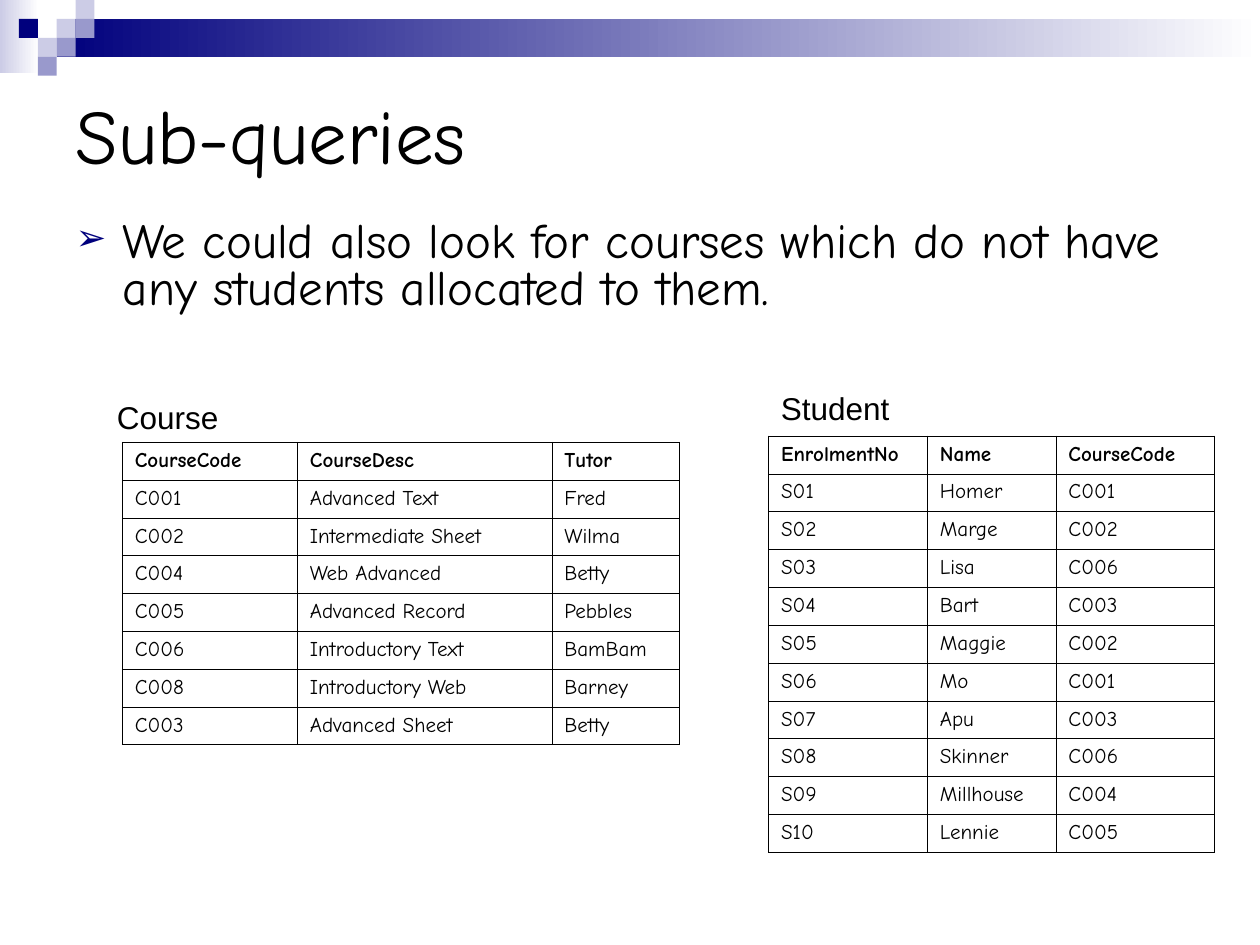
import dataclasses

import pptx
import pptx.dml.color
import pptx.enum.shapes
import pptx.enum.text
import pptx.oxml
import pptx.oxml.ns
import pptx.util

COLORS = {
    "ink": "000000",
    "paper": "FFFFFF",
    "navy": "00007D",
    "violet": "9999CC",
    "lilac": "CCCCE6",
}
HAND = "Comic Neue"
PLAIN = "Arial"
CELL = 0.1
TILE = 1.5
ROW_HEIGHT = 3


@dataclasses.dataclass
class Area:
    left: float
    top: float
    width: float
    height: float

    def lengths(self) -> list:
        return [grid(value) for value in dataclasses.astuple(self)]


@dataclasses.dataclass
class Listing:
    label: str
    label_area: Area
    left: float
    top: float
    columns: list[float]
    rows: list[str]


FADES = [
    (Area(0, 0, 3.1, 5.8), "lilac"),
    (Area(4.5, 1.5, 95.5, 3), "navy"),
]
TILES = [
    (3, 1, "lilac"),
    (4, 0, "lilac"),
    (4, 1, "violet"),
    (2, 2, "lilac"),
    (1, 1, "navy"),
    (3, 2, "violet"),
    (2, 3, "violet"),
]
LISTINGS = [
    Listing("Course", Area(8.3, 31.1, 21.3, 4), 9.7, 35.1, [13.9, 20.2, 10.1], [
        "CourseCode|CourseDesc|Tutor",
        "C001|Advanced Text|Fred",
        "C002|Intermediate Sheet|Wilma",
        "C004|Web Advanced|Betty",
        "C005|Advanced Record|Pebbles",
        "C006|Introductory Text|BamBam",
        "C008|Introductory Web|Barney",
        "C003|Advanced Sheet|Betty",
    ]),
    Listing("Student", Area(61, 30.4, 21.3, 4), 61, 34.6, [12.6, 10.2, 12.6], [
        "EnrolmentNo|Name|CourseCode",
        "S01|Homer|C001",
        "S02|Marge|C002",
        "S03|Lisa|C006",
        "S04|Bart|C003",
        "S05|Maggie|C002",
        "S06|Mo|C001",
        "S07|Apu|C003",
        "S08|Skinner|C006",
        "S09|Millhouse|C004",
        "S10|Lennie|C005",
    ]),
]


def grid(count: float) -> pptx.util.Length:
    """Turn a number of grid cells into a length."""
    return pptx.util.Inches(count * CELL)


def color(name: str) -> pptx.dml.color.RGBColor:
    """Look up a colour by name."""
    return pptx.dml.color.RGBColor.from_string(COLORS[name])


def element(xml: str):
    """Parse one drawing element."""
    head, tail = xml.split(" ", 1)
    return pptx.oxml.parse_xml(f"{head} {pptx.oxml.ns.nsdecls('a')} {tail}")


def place(box, area: Area) -> None:
    """Move a box to an area of the grid."""
    box.left, box.top, box.width, box.height = area.lengths()


def write(frame, text: str, size: float, font: str, bold: bool = False):
    """Set one left-aligned paragraph and format its run."""
    frame.text = text
    frame.word_wrap = True
    para = frame.paragraphs[0]
    para.alignment = pptx.enum.text.PP_ALIGN.LEFT
    span = para.runs[0]
    span.font.size = pptx.util.Pt(size)
    span.font.name = font
    span.font.bold = bold
    span.font.color.rgb = color("ink")
    return para


def draw_block(page, area: Area, name: str, fades: bool = False) -> None:
    """Draw a solid or fading rectangle behind the title."""
    block = page.shapes.add_shape(
        pptx.enum.shapes.MSO_SHAPE.RECTANGLE, *area.lengths())
    block.shadow.inherit = False
    block.line.fill.background()
    if fades:
        block.fill.gradient()
        block.fill.gradient_angle = 0
        for stop, shade in zip(block.fill.gradient_stops, (name, "paper")):
            stop.color.rgb = color(shade)
    else:
        block.fill.solid()
        block.fill.fore_color.rgb = color(name)
    page.shapes.title.element.addprevious(block.element)


def draw_banner(page) -> None:
    """Draw the fading bars and the small tiles at the top."""
    for area, name in FADES:
        draw_block(page, area, name, fades=True)
    for column, row, name in TILES:
        draw_block(page, Area(column * TILE, row * TILE, TILE, TILE), name)


def fill_title(page, text: str) -> None:
    """Write the title."""
    title = page.shapes.title
    place(title, Area(5, 5, 90, 11.2))
    write(title.text_frame, text, 44, HAND)
    title.text_frame.vertical_anchor = pptx.enum.text.MSO_ANCHOR.MIDDLE
    title.text_frame.auto_size = pptx.enum.text.MSO_AUTO_SIZE.NONE


def fill_body(page, text: str) -> None:
    """Write the bulleted statement."""
    body = page.placeholders[1]
    place(body, Area(5, 17, 90, 8.7))
    para = write(body.text_frame, text, 28, HAND)
    body.text_frame.auto_size = pptx.enum.text.MSO_AUTO_SIZE.NONE
    para.line_spacing = 0.8
    para.space_before = pptx.util.Pt(0)
    properties = para._p.get_or_add_pPr()
    properties.set("marL", str(grid(3.75)))
    properties.set("indent", str(-grid(3.75)))
    for xml in (f'<a:buClr ><a:srgbClr val="{COLORS["navy"]}"/></a:buClr>',
                '<a:buSzPct val="75000"/>',
                f'<a:buFont typeface="{PLAIN}"/>',
                '<a:buChar char="➢"/>'):
        properties.append(element(xml))


def draw_cell(cell, text: str, header: bool) -> None:
    """Write, border and fill one table cell."""
    write(cell.text_frame, text, 12, HAND, bold=header)
    properties = cell._tc.get_or_add_tcPr()
    for side in ("lnL", "lnR", "lnT", "lnB"):
        properties.append(element(
            f'<a:{side} w="{pptx.util.Pt(0.34)}"><a:solidFill>'
            f'<a:srgbClr val="{COLORS["ink"]}"/></a:solidFill></a:{side}>'))
    if header:
        cell.vertical_anchor = pptx.enum.text.MSO_ANCHOR.MIDDLE
        cell.fill.background()
    else:
        cell.fill.solid()
        cell.fill.fore_color.rgb = color("paper")


def draw_listing(page, listing: Listing) -> None:
    """Draw a table with its label above."""
    area = Area(listing.left, listing.top, sum(listing.columns),
                ROW_HEIGHT * len(listing.rows))
    table = page.shapes.add_table(
        len(listing.rows), len(listing.columns), *area.lengths()).table
    table.first_row = table.horz_banding = False
    for column, width in zip(table.columns, listing.columns):
        column.width = grid(width)
    for index, (row, line) in enumerate(zip(table.rows, listing.rows)):
        row.height = grid(ROW_HEIGHT)
        for cell, text in zip(row.cells, line.split("|")):
            draw_cell(cell, text, header=index == 0)
    label = page.shapes.add_textbox(*listing.label_area.lengths())
    write(label.text_frame, listing.label, 18, PLAIN)


def main() -> None:
    """Build and save the slide."""
    deck = pptx.Presentation()
    deck.slide_width, deck.slide_height = grid(100), grid(75)
    page = deck.slides.add_slide(deck.slide_layouts[1])
    draw_banner(page)
    fill_title(page, "Sub-queries")
    fill_body(page, "We could also look for courses which do not have "
                    "any students allocated to them.")
    for listing in LISTINGS:
        draw_listing(page, listing)
    deck.save("out.pptx")


if __name__ == "__main__":
    main()
